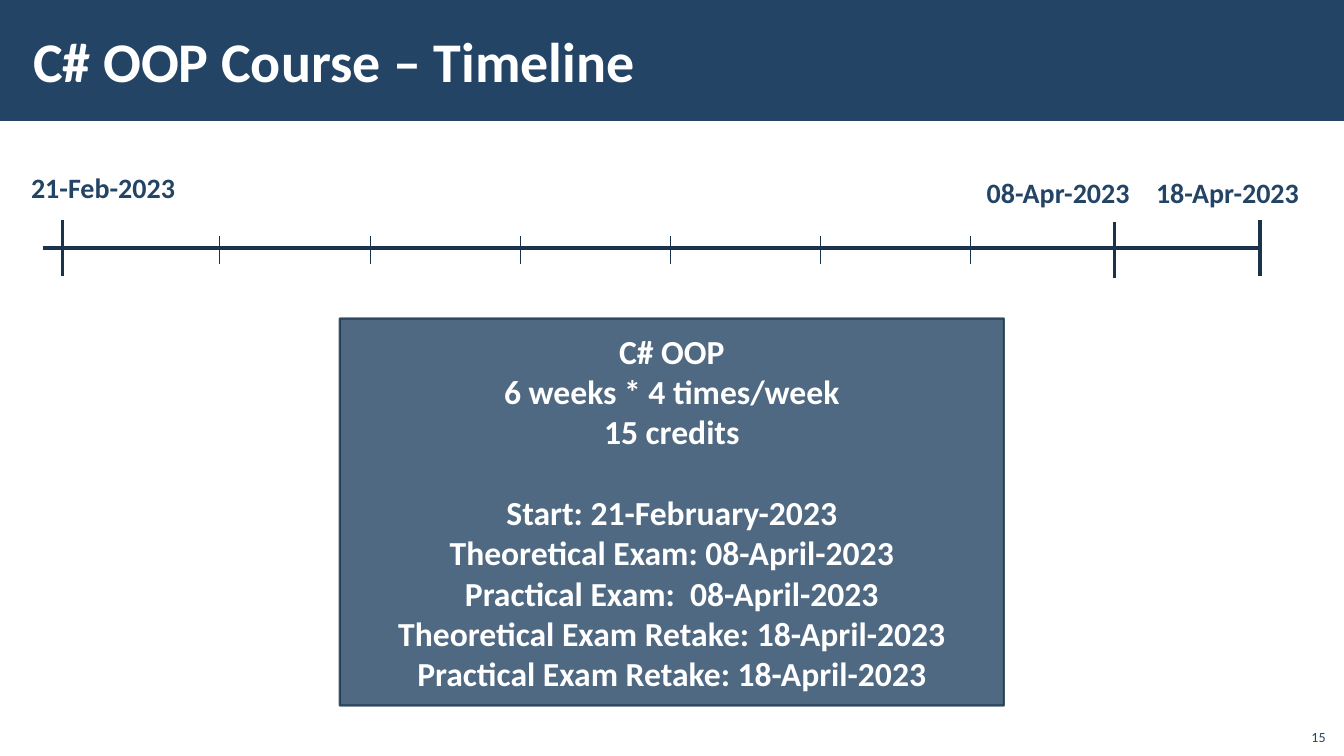
from dataclasses import dataclass

from lxml.etree import SubElement
from pptx import Presentation
from pptx.dml.color import RGBColor
from pptx.enum.shapes import MSO_CONNECTOR, MSO_SHAPE
from pptx.enum.text import MSO_ANCHOR, MSO_AUTO_SIZE, PP_ALIGN
from pptx.oxml.ns import qn
from pptx.util import Inches, Pt

NAVY = RGBColor(0x23, 0x44, 0x65)
DARK_NAVY = RGBColor(0x1A, 0x33, 0x4C)
WHITE = RGBColor(0xFF, 0xFF, 0xFF)
FONT = "Calibri"
COLUMNS, ROWS = 80, 45
SLIDE_HEIGHT = Inches(7.5)
CELL = SLIDE_HEIGHT / ROWS


@dataclass
class Box:
    x: float
    y: float
    w: float
    h: float

    def inner(self, x, y, w, h):
        return Box(self.x + x, self.y + y, w, h)

    def emu(self):
        return [round(value * CELL) for value in (self.x, self.y, self.w, self.h)]


def write(frame, text, size, color, bold=True, align=PP_ALIGN.LEFT,
          anchor=MSO_ANCHOR.TOP, wrap=True, gap_before=()):
    frame.word_wrap = wrap
    frame.auto_size = MSO_AUTO_SIZE.NONE
    frame.vertical_anchor = anchor
    for index, line in enumerate(text.split("\n")):
        paragraph = frame.add_paragraph() if index else frame.paragraphs[0]
        paragraph.alignment = align
        if index in gap_before:
            paragraph.space_before = Pt(size * 1.2)
        run = paragraph.add_run()
        run.text = line
        run.font.name = FONT
        run.font.size = Pt(size)
        run.font.bold = bold
        run.font.color.rgb = color


def add_label(slide, box, text, size, **style):
    label = slide.shapes.add_textbox(*box.emu())
    write(label.text_frame, text, size, NAVY, **style)


def add_panel(slide, box, fill):
    panel = slide.shapes.add_shape(MSO_SHAPE.RECTANGLE, *box.emu())
    panel.shadow.inherit = False
    panel.fill.solid()
    panel.fill.fore_color.rgb = fill
    panel.line.fill.background()
    return panel


def add_rule(slide, box, width):
    x, y, w, h = box.emu()
    rule = slide.shapes.add_connector(MSO_CONNECTOR.STRAIGHT, x, y, x + w, y + h)
    rule.line.color.rgb = DARK_NAVY
    rule.line.width = Pt(width)
    SubElement(rule._element.spPr, qn("a:effectLst"))


def add_header(slide, box, text):
    band = add_panel(slide, box, NAVY)
    title = slide.shapes.title
    title._element.addprevious(band._element)
    title.left, title.top, title.width, title.height = box.inner(1.26, 0.66, 63.78, 5.82).emu()
    frame = title.text_frame
    frame.margin_left = frame.margin_right = Inches(0.12)
    frame.margin_top = frame.margin_bottom = Inches(0.04)
    write(frame, text, 40, WHITE, anchor=MSO_ANCHOR.MIDDLE)


def add_timeline(slide, box, milestones, weeks):
    add_rule(slide, box.inner(1.32, 4.92, box.w - 1.32, 0), 2.25)
    for date, label_x, label_y, tick_x, tick_y in milestones:
        add_label(slide, box.inner(label_x, label_y, 9.9, 2.64), date, 20, wrap=False)
        add_rule(slide, box.inner(tick_x, tick_y, 0, 3.36), 2.25)
    for week in range(weeks):
        add_rule(slide, box.inner(11.82 + week * 8.94, 4.2, 0, 1.68), 0.5)


def add_course_card(slide, box, text, gap_before):
    card = add_panel(slide, box, NAVY)
    card.line.color.rgb = DARK_NAVY
    card.line.width = Pt(1.5)
    for color in card._element.spPr.iter(qn("a:srgbClr")):
        SubElement(color, qn("a:alpha"), val="80000")
    write(card.text_frame, text, 24, WHITE, align=PP_ALIGN.CENTER,
          anchor=MSO_ANCHOR.MIDDLE, gap_before=gap_before)


def main():
    deck = Presentation()
    deck.slide_width = round(COLUMNS * CELL)
    deck.slide_height = SLIDE_HEIGHT
    slide = deck.slides.add_slide(deck.slide_layouts[5])

    add_header(slide, Box(0, 0, COLUMNS, 7.2), "C# OOP Course – Timeline")
    milestones = [
        ("21-Feb-2023", 0, 0, 2.46, 3.24),
        ("08-Apr-2023", 56.88, 0.3, 65.1, 3.36),
        ("18-Apr-2023", 66.96, 0.3, 73.74, 3.24),
    ]
    add_timeline(slide, Box(1.26, 9.84, 73.74, 6.72), milestones, weeks=6)
    course = """C# OOP
6 weeks * 4 times/week
15 credits
Start: 21-February-2023
Theoretical Exam: 08-April-2023
Practical Exam:  08-April-2023
Theoretical Exam Retake: 18-April-2023
Practical Exam Retake: 18-April-2023"""
    add_course_card(slide, Box(20.22, 18.96, 39.54, 23.04), course, gap_before=(3,))
    add_label(slide, Box(77.1, 42.72, 2.4, 1.92), "15", 10, bold=False,
              align=PP_ALIGN.RIGHT, anchor=MSO_ANCHOR.BOTTOM)
    deck.save("out.pptx")


if __name__ == "__main__":
    main()
